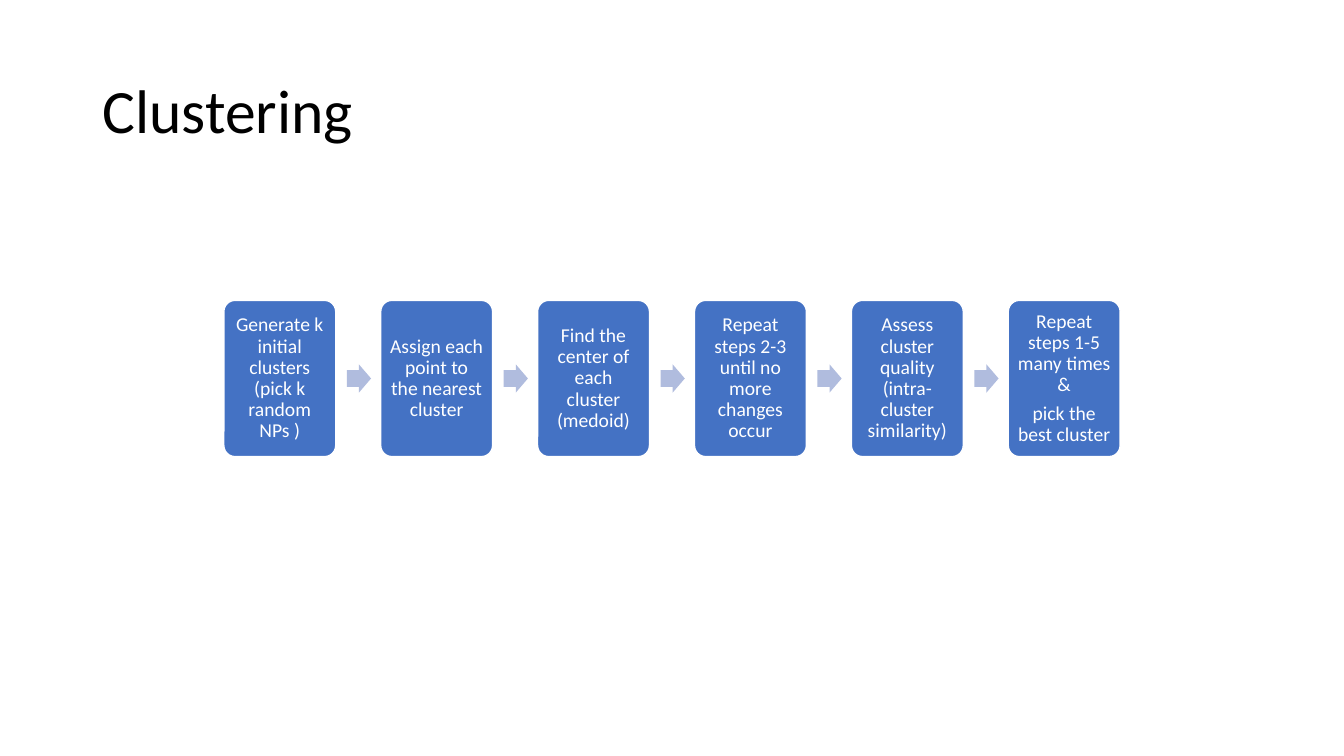
from pptx import Presentation
from pptx.dml.color import RGBColor
from pptx.enum.shapes import MSO_SHAPE
from pptx.enum.text import MSO_ANCHOR, PP_ALIGN
from pptx.util import Inches, Pt

BLACK = RGBColor(0x00, 0x00, 0x00)
WHITE = RGBColor(0xFF, 0xFF, 0xFF)
BLUE = RGBColor(0x44, 0x72, 0xC4)
PALE_BLUE = RGBColor(0xB0, 0xBC, 0xDE)


class ProcessSlide:
    font_name = "Calibri"
    line_spacing = 0.9

    def __init__(self, slide):
        self.shapes = slide.shapes

    def set_text(self, frame, paragraphs, size, color, align, inset=None, after=0):
        frame_format = {"word_wrap": True, "vertical_anchor": MSO_ANCHOR.MIDDLE}
        if inset is not None:
            for side in ("left", "top", "right", "bottom"):
                frame_format[f"margin_{side}"] = Inches(inset)
        for name, value in frame_format.items():
            setattr(frame, name, value)
        frame.text = "\n".join(paragraphs)
        paragraph_format = {"alignment": align, "line_spacing": self.line_spacing,
                            "space_after": Pt(after)}
        font_format = {"name": self.font_name, "size": Pt(size)}
        for paragraph in frame.paragraphs:
            for name, value in paragraph_format.items():
                setattr(paragraph, name, value)
            for run in paragraph.runs:
                for name, value in font_format.items():
                    setattr(run.font, name, value)
                run.font.color.rgb = color

    def title(self, text, left, top, width, height):
        heading = self.shapes.add_textbox(*map(Inches, (left, top, width, height)))
        self.set_text(heading.text_frame, [text], 44, BLACK, PP_ALIGN.LEFT)

    def block(self, kind, place, fill, adjustments):
        block = self.shapes.add_shape(kind, *map(Inches, place))
        block.shadow.inherit = False
        block.fill.solid()
        block.fill.fore_color.rgb = fill
        block.line.fill.background()
        for index, value in enumerate(adjustments):
            block.adjustments[index] = value
        return block

    def step(self, paragraphs, *place):
        step = self.block(MSO_SHAPE.ROUNDED_RECTANGLE, place, BLUE, [0.1])
        step.line.color.rgb = WHITE
        step.line.width = Pt(1)
        self.set_text(step.text_frame, paragraphs, 14, WHITE, PP_ALIGN.CENTER,
                      inset=0.06, after=5)

    def arrow(self, *place):
        self.block(MSO_SHAPE.RIGHT_ARROW, place, PALE_BLUE, [0.6, 0.5])


presentation = Presentation()
presentation.slide_width = Inches(13.33)
presentation.slide_height = Inches(7.5)
clustering = ProcessSlide(presentation.slides.add_slide(presentation.slide_layouts[6]))

# Title
clustering.title("Clustering", 0.92, 0.4, 11.5, 1.45)

# Steps, with an arrow between neighbours
STEPS = [
    ["Generate k initial clusters (pick k random NPs )"],
    ["Assign each point to the nearest cluster"],
    ["Find the center of each cluster (medoid)"],
    ["Repeat steps 2-3 until no more changes occur"],
    ["Assess cluster quality (intra-cluster similarity)"],
    ["Repeat steps 1-5 many times &", "pick the best cluster"],
]
FIRST_LEFT, LAST_LEFT = 2.22, 10
PITCH = (LAST_LEFT - FIRST_LEFT) / (len(STEPS) - 1)
STEP_TOP, STEP_WIDTH, STEP_HEIGHT = 2.98, 1.11, 1.55
ARROW_WIDTH, ARROW_HEIGHT, ARROW_GAP = 0.24, 0.28, 0.11
arrow_top = STEP_TOP + (STEP_HEIGHT - ARROW_HEIGHT) / 2

for number, step_text in enumerate(STEPS):
    step_left = FIRST_LEFT + number * PITCH
    if number:
        arrow_left = step_left - PITCH + STEP_WIDTH + ARROW_GAP
        clustering.arrow(arrow_left, arrow_top, ARROW_WIDTH, ARROW_HEIGHT)
    clustering.step(step_text, step_left, STEP_TOP, STEP_WIDTH, STEP_HEIGHT)

presentation.save("out.pptx")
